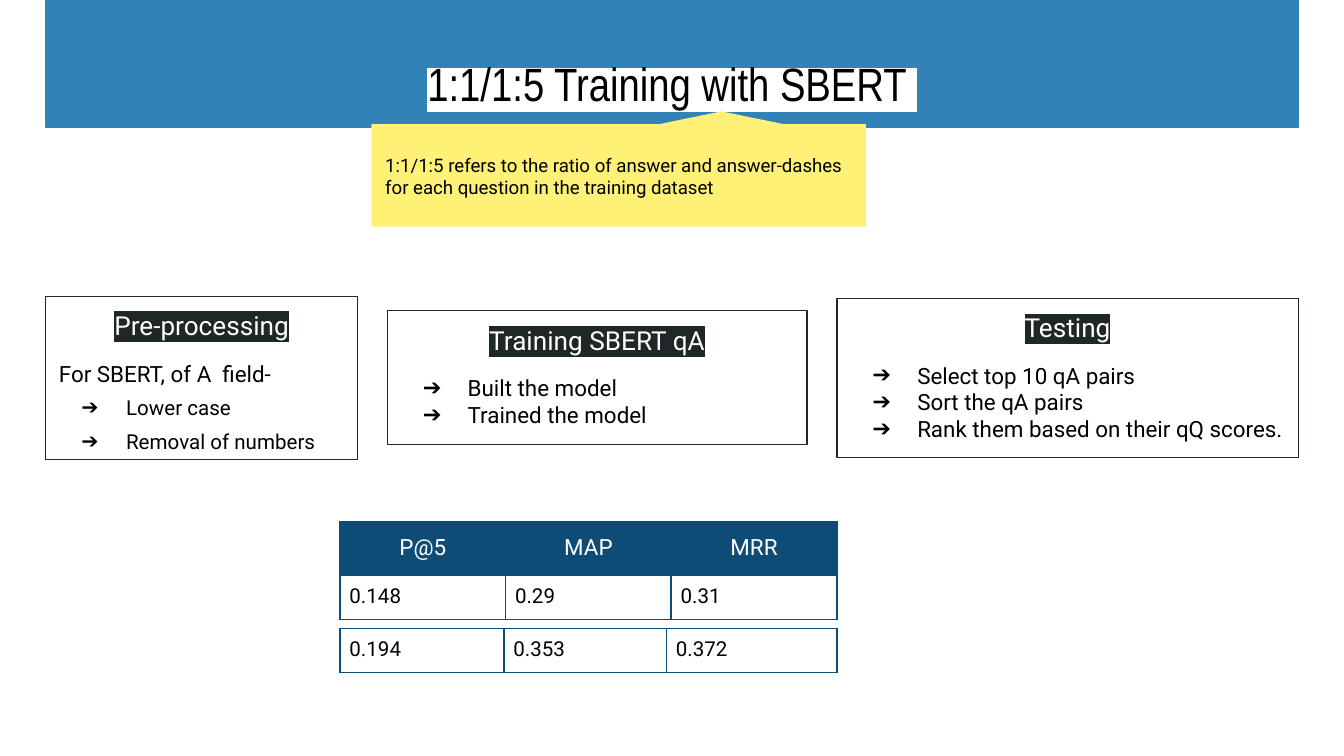
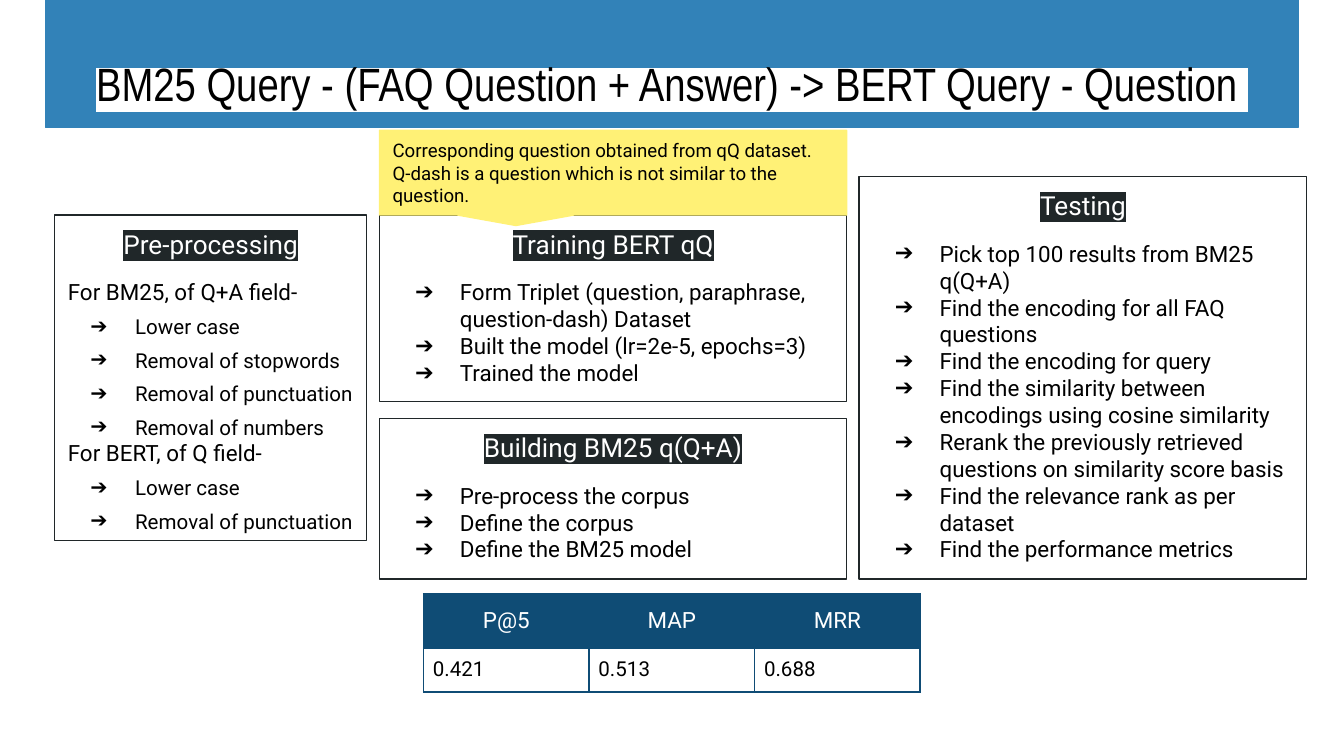
"""Build two slides on ranking FAQ answers with SBERT and with BM25 plus BERT."""
from lxml.etree import SubElement
from pptx import Presentation
from pptx.dml.color import RGBColor
from pptx.enum.shapes import MSO_SHAPE
from pptx.enum.text import MSO_ANCHOR, PP_ALIGN
from pptx.oxml.ns import qn
from pptx.util import Pt

RECT = MSO_SHAPE.RECTANGLE
CALLOUT = MSO_SHAPE.ROUNDED_RECTANGULAR_CALLOUT
TOP, MIDDLE = MSO_ANCHOR.TOP, MSO_ANCHOR.MIDDLE
LEFT, CENTER = PP_ALIGN.LEFT, PP_ALIGN.CENTER

BLUE = RGBColor(0x32, 0x82, 0xB8)
NAVY = RGBColor(0x0F, 0x4C, 0x75)
DARK = RGBColor(0x20, 0x27, 0x29)
YELLOW = RGBColor(0xFF, 0xF1, 0x76)
BLACK = RGBColor(0, 0, 0)
WHITE = RGBColor(0xFF, 0xFF, 0xFF)

STYLES = {
    "title": {"size": 25, "font": "Arial Narrow", "align": CENTER, "highlight": WHITE, "spacing": 1.36},
    "heading": {"size": 14, "color": WHITE, "align": CENTER, "highlight": DARK},
    "intro": {"size": 12},
    "step": {"size": 11, "spacing": 1.36, "bullet": True},
    "point": {"size": 12, "bullet": True},
    "note": {"size": 10},
    "metric": {"size": 12, "color": WHITE, "align": CENTER},
    "score": {"size": 11},
}
METRICS = ("P@5", "MAP", "MRR")
EVEN_COLUMNS = (88.7, 88.7, 88.7)

SLIDES = [
    {
        "title": "1:1/1:5 Training with SBERT ",
        "panels": [
            ((24.5, 158.7, 167.2, 87.6), "Pre-processing", [
                ("intro", "For SBERT, of A  field-"),
                ("step", "Lower case"),
                ("step", "Removal of numbers"),
            ]),
            ((207.5, 166.5, 224.8, 71.8), "Training SBERT qA", [
                ("point", "Built the model"),
                ("point", "Trained the model"),
            ]),
            ((448.3, 159.8, 247.2, 85.2), "Testing", [
                ("point", "Select top 10 qA pairs"),
                ("point", "Sort the qA pairs"),
                ("point", "Rank them based on their qQ scores."),
            ]),
        ],
        "tables": [
            (182.2, 279.3, EVEN_COLUMNS, [METRICS, ("0.148", "0.29", "0.31")]),
            (182.2, 336.7, (87.8, 87.1, 91.2), [("0.194", "0.353", "0.372")]),
        ],
        "callout": (199.3, 66.8, 264.3, 54.2),
        "rotation": 180,
        "note_box": (199.3, 74.9, 264.3, 39),
        "note": "1:1/1:5 refers to the ratio of answer and answer-dashes "
                "for each question in the training dataset",
    },
    {
        "title": "BM25 Query - (FAQ Question + Answer) -> BERT Query - Question ",
        "panels": [
            ((29.3, 115.2, 167.2, 174.4), "Pre-processing", [
                ("intro", "For BM25, of Q+A field-"),
                ("step", "Lower case"),
                ("step", "Removal of stopwords"),
                ("step", "Removal of punctuation"),
                ("step", "Removal of numbers"),
                ("intro", "For BERT, of Q field-"),
                ("step", "Lower case"),
                ("step", "Removal of punctuation"),
            ]),
            ((203.3, 115.2, 250.3, 99.8), "Training BERT qQ", [
                ("point", "Form Triplet (question, paraphrase, question-dash) Dataset"),
                ("point", "Built the model (lr=2e-5, epochs=3)"),
                ("point", "Trained the model"),
            ]),
            ((203.3, 224.1, 250.3, 86.2), "Building BM25 q(Q+A)", [
                ("point", "Pre-process the corpus"),
                ("point", "Define the corpus"),
                ("point", "Define the BM25 model"),
            ]),
            ((460.3, 94.5, 239.8, 215.8), "Testing", [
                ("point", "Pick top 100 results from BM25 q(Q+A)"),
                ("point", "Find the encoding for all FAQ questions"),
                ("point", "Find the encoding for query"),
                ("point", "Find the similarity between encodings using cosine similarity"),
                ("point", "Rerank the previously retrieved questions on similarity score basis"),
                ("point", "Find the relevance rank as per dataset"),
                ("point", "Find the performance metrics"),
            ]),
        ],
        "tables": [(226.9, 318.2, EVEN_COLUMNS, [METRICS, ("0.421", "0.513", "0.688")])],
        "callout": (203.3, 69.9, 250.3, 45.3),
        "rotation": 0,
        "note_box": (203.3, 69.9, 250.3, 45.3),
        "note": "Corresponding question obtained from qQ dataset. "
                "Q-dash is a question which is not similar to the question.",
    },
]


def write(frame, lines, anchor=TOP, margin=7.2):
    """Fill a text frame with (style, text) lines."""
    frame.word_wrap = True
    frame.vertical_anchor = anchor
    for side in ("left", "top", "right", "bottom"):
        setattr(frame, f"margin_{side}", Pt(margin))
    for index, (style_name, text) in enumerate(lines):
        style = STYLES[style_name]
        paragraph = frame.add_paragraph() if index else frame.paragraphs[0]
        paragraph.alignment = style.get("align", LEFT)
        paragraph.line_spacing = style.get("spacing", 1.0)
        paragraph.space_before = Pt(10 if index == 1 else 0)
        run = paragraph.add_run()
        run.text = text
        run.font.size = Pt(style["size"])
        run.font.name = style.get("font", "Roboto")
        run.font.color.rgb = style.get("color", BLACK)
        if "highlight" in style:
            properties = run.font._element
            highlight = SubElement(properties, qn("a:highlight"))
            SubElement(highlight, qn("a:srgbClr"), val=str(style["highlight"]))
            properties.find(qn("a:latin")).addprevious(highlight)
        if style.get("bullet"):
            properties = paragraph._p.get_or_add_pPr()
            properties.set("marL", str(Pt(36)))
            properties.set("indent", str(Pt(-24)))
            color = SubElement(properties, qn("a:buClr"))
            SubElement(color, qn("a:srgbClr"), val=str(BLACK))
            SubElement(properties, qn("a:buFont"), typeface="Roboto")
            SubElement(properties, qn("a:buChar"), char="➔")


def add_block(slide, kind, box, fill, line):
    """Add a shape with a thin outline and an optional fill."""
    block = slide.shapes.add_shape(kind, *map(Pt, box))
    block.shadow.inherit = False
    if fill is None:
        block.fill.background()
    else:
        block.fill.solid()
        block.fill.fore_color.rgb = fill
    block.line.color.rgb = line
    block.line.width = Pt(0.75)
    return block


deck = Presentation()
deck.slide_width, deck.slide_height = Pt(720), Pt(405)

for content in SLIDES:
    slide = deck.slides.add_slide(deck.slide_layouts[6])
    add_block(slide, RECT, (24.5, 0, 671, 68.4), BLUE, BLUE)
    title = slide.shapes.add_textbox(*map(Pt, (24.5, 11.5, 671, 45.4)))
    write(title.text_frame, [("title", content["title"])])

    for box, heading, lines in content["panels"]:
        panel = add_block(slide, RECT, box, None, DARK)
        write(panel.text_frame, [("heading", heading)] + lines)

    for left, top, widths, rows in content["tables"]:
        heights = [29 if row is METRICS else 23.6 for row in rows]
        table = slide.shapes.add_table(
            len(rows), len(widths), Pt(left), Pt(top), Pt(sum(widths)), Pt(sum(heights))
        ).table
        table.first_row = table.horz_banding = False
        for column, width in zip(table.columns, widths):
            column.width = Pt(width)
        for r, row in enumerate(rows):
            table.rows[r].height = Pt(heights[r])
            header = row is METRICS
            for c, value in enumerate(row):
                cell = table.cell(r, c)
                write(cell.text_frame, [("metric" if header else "score", value)])
                margin = Pt(7.2 if header else 5)
                cell.margin_left = cell.margin_right = margin
                cell.margin_top = cell.margin_bottom = margin
                borders = cell._tc.get_or_add_tcPr()
                for edge in ("lnL", "lnR", "lnT", "lnB"):
                    border = SubElement(borders, qn(f"a:{edge}"), w=str(Pt(1)))
                    paint = SubElement(border, qn("a:solidFill"))
                    SubElement(paint, qn("a:srgbClr"), val=str(NAVY))
                if header:
                    cell.fill.solid()
                    cell.fill.fore_color.rgb = NAVY
                else:
                    cell.fill.background()

    callout = add_block(slide, CALLOUT, content["callout"], YELLOW, YELLOW)
    callout.rotation = content["rotation"]
    for index, value in enumerate((-0.208, 0.625, 0)):
        callout.adjustments[index] = value
    note = callout
    if content["rotation"]:
        note = slide.shapes.add_textbox(*map(Pt, content["note_box"]))
    write(note.text_frame, [("note", content["note"])], MIDDLE)

deck.save("out.pptx")
